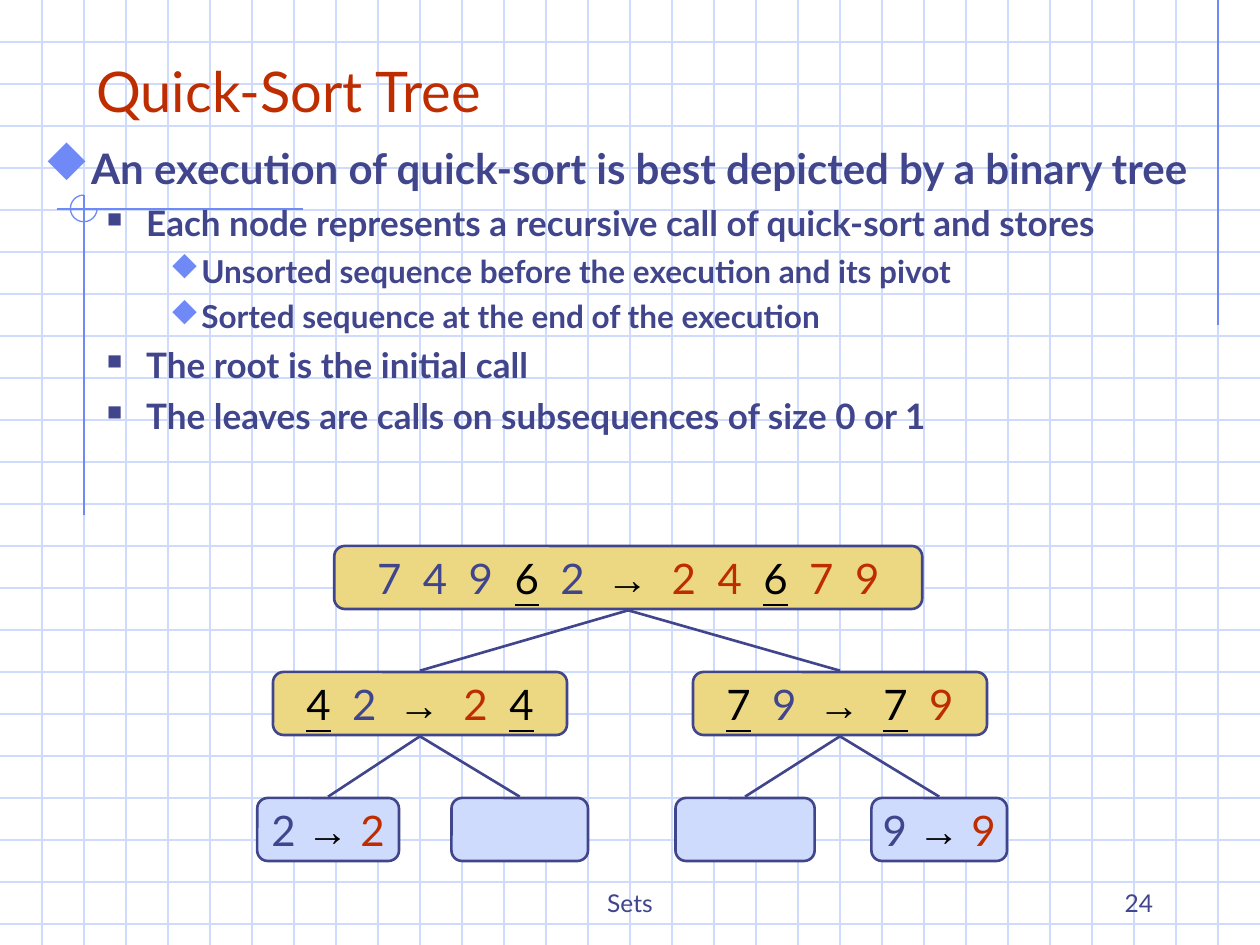
import lxml.etree
import pptx
import pptx.dml.color
import pptx.enum.shapes
import pptx.enum.text
import pptx.oxml.ns
import pptx.util

Pt = pptx.util.Pt
RGBColor = pptx.dml.color.RGBColor
Anchor = pptx.enum.text.MSO_ANCHOR
Align = pptx.enum.text.PP_ALIGN
ShapeKind = pptx.enum.shapes.MSO_SHAPE
qn = pptx.oxml.ns.qn

INDIGO = RGBColor(0x40, 0x45, 0x8C)
RED = RGBColor(0xBE, 0x2D, 0x00)
BLACK = RGBColor(0, 0, 0)
SKY = RGBColor(0x6F, 0x89, 0xF7)
PALE_BLUE = RGBColor(0xCF, 0xDB, 0xFD)
GOLD = RGBColor(0xEC, 0xD8, 0x82)

WIDTH, HEIGHT, GRID = 720, 540, 24
NODE_HEIGHT = 36

# Wingdings codes of the bullet symbols
DIAMOND, SQUARE = "u", "n"
# Per outline level: indent, hanging, size, space before, bullet, bullet colour, bullet percent
LEVELS = [
    (27, 27, 24, 6, DIAMOND, SKY, 110),
    (58.5, 22.5, 20, 5, SQUARE, INDIGO, 60),
    (90, 18, 18, 4.5, DIAMOND, SKY, 95),
]
OUTLINE = [
    (0, "An execution of quick-sort is best depicted by a binary tree"),
    (1, "Each node represents a recursive call of quick-sort and stores"),
    (2, "Unsorted sequence before the execution and its pivot"),
    (2, "Sorted sequence at the end of the execution"),
    (1, "The root is the initial call"),
    (1, "The leaves are calls on subsequences of size 0 or 1"),
]

# Run roles in a node: colour, font, bold, underline
ROLES = {
    "unsorted": (INDIGO, "Lato", False, False),
    "pivot": (BLACK, "Lato", False, True),
    "arrow": (BLACK, "Arial", True, False),
    "sorted": (RED, "Lato", False, False),
}
# Tree nodes: left, top, width, fill, runs
NODES = [
    (191, 312, 336, GOLD, [
        ("7  4  9  ", "unsorted"), ("6", "pivot"), ("  2  ", "unsorted"), ("→  ", "arrow"),
        ("2  4  ", "sorted"), ("6", "pivot"), ("  7  9", "sorted")]),
    (156, 384, 168, GOLD, [
        ("4", "pivot"), ("  2  ", "unsorted"), ("→  ", "arrow"),
        ("2  ", "sorted"), ("4", "pivot")]),
    (396, 384, 168, GOLD, [
        ("7", "pivot"), ("  9  ", "unsorted"), ("→  ", "arrow"),
        ("7", "pivot"), ("  9", "sorted")]),
    (147, 456, 81, PALE_BLUE, [
        ("2 ", "unsorted"), ("→ ", "arrow"), ("2", "sorted")]),
    (258, 456, 78, PALE_BLUE, []),
    (386, 456, 79.5, PALE_BLUE, []),
    (498, 456, 77.5, PALE_BLUE, [
        ("9 ", "unsorted"), ("→ ", "arrow"), ("9", "sorted")]),
]
EDGES = [(0, 1), (0, 2), (1, 3), (1, 4), (2, 5), (2, 6)]


def add_line(slide, start, end, color, weight=0.75):
    line = slide.shapes.add_connector(
        pptx.enum.shapes.MSO_CONNECTOR.STRAIGHT, *map(Pt, (*start, *end)))
    line.line.color.rgb = color
    line.line.width = Pt(weight)
    lxml.etree.SubElement(line._element.spPr, qn("a:effectLst"))


def add_run(paragraph, text, size, color, font="Lato", bold=False, underline=False):
    run = paragraph.add_run()
    run.text = text
    run.font.size = Pt(size)
    run.font.name = font
    run.font.color.rgb = color
    run.font.bold = bold
    run.font.underline = underline


def add_text_box(slide, bounds, anchor):
    frame = slide.shapes.add_textbox(*map(Pt, bounds)).text_frame
    frame.word_wrap = True
    frame.vertical_anchor = anchor
    return frame


def add_label(slide, bounds, text, size, color, align):
    paragraph = add_text_box(slide, bounds, Anchor.BOTTOM).paragraphs[0]
    paragraph.alignment = align
    add_run(paragraph, text, size, color)


def add_background(slide):
    for y in range(GRID, HEIGHT, GRID):
        add_line(slide, (0, y), (WIDTH, y), PALE_BLUE)
    for x in range(GRID, WIDTH, GRID):
        add_line(slide, (x, 0), (x, HEIGHT), PALE_BLUE)
    add_line(slide, (696, 0), (696, 186), SKY)
    add_line(slide, (173, 119.5), (32.5, 119.5), SKY)
    add_line(slide, (48, 111.5), (48, 294.5), SKY)
    arc = slide.shapes.add_shape(ShapeKind.ARC, *map(Pt, (40.25, 111.5, 15.25, 15.25)))
    arc.shadow.inherit = False
    arc.adjustments[0] = 0
    arc.adjustments[1] = 162  # 270 degrees, in units of 100000/60000 degree
    arc.fill.background()
    arc.line.color.rgb = SKY
    arc.line.width = Pt(0.75)


def add_bullet(paragraph, character, color, percent):
    properties = paragraph._p.get_or_add_pPr()
    bullet_color = lxml.etree.SubElement(properties, qn("a:buClr"))
    lxml.etree.SubElement(bullet_color, qn("a:srgbClr"), val=str(color))
    lxml.etree.SubElement(properties, qn("a:buSzPct"), val=str(percent * 1000))
    lxml.etree.SubElement(
        properties, qn("a:buFont"), typeface="Wingdings", pitchFamily="2", charset="2")
    lxml.etree.SubElement(properties, qn("a:buChar"), char=character)


def add_outline(slide):
    frame = add_text_box(slide, (18, 78, 690, 228), Anchor.TOP)
    for index, (level, text) in enumerate(OUTLINE):
        indent, hanging, size, space, character, color, percent = LEVELS[level]
        paragraph = frame.add_paragraph() if index else frame.paragraphs[0]
        paragraph.level = level
        if index:
            paragraph.space_before = Pt(space)
        properties = paragraph._p.get_or_add_pPr()
        properties.set("marL", str(Pt(indent)))
        properties.set("indent", str(-Pt(hanging)))
        add_bullet(paragraph, character, color, percent)
        add_run(paragraph, text, size, INDIGO, bold=True)


def add_node(slide, left, top, width, fill, runs):
    node = slide.shapes.add_shape(
        ShapeKind.ROUNDED_RECTANGLE, *map(Pt, (left, top, width, NODE_HEIGHT)))
    node.shadow.inherit = False
    node.fill.solid()
    node.fill.fore_color.rgb = fill
    node.line.color.rgb = INDIGO
    node.line.width = Pt(1.5)
    if not runs:
        return
    frame = node.text_frame
    frame.word_wrap = False
    frame.vertical_anchor = Anchor.MIDDLE
    paragraph = frame.paragraphs[0]
    paragraph.alignment = Align.CENTER
    for text, role in runs:
        color, font, bold, underline = ROLES[role]
        add_run(paragraph, text, 24, color, font, bold, underline)


def add_edge(slide, parent, child):
    """Join the bottom centre of the parent to the top centre of the child."""
    start = (parent[0] + parent[2] / 2, parent[1] + NODE_HEIGHT + 0.75)
    end = (child[0] + child[2] / 2, child[1] - 0.75)
    add_line(slide, start, end, INDIGO, 1.5)


def main():
    presentation = pptx.Presentation()
    presentation.slide_width = Pt(WIDTH)
    presentation.slide_height = Pt(HEIGHT)
    slide = presentation.slides.add_slide(presentation.slide_layouts[6])
    add_background(slide)
    add_label(slide, (48, 24, 612, 50.5), "Quick-Sort Tree", 32, RED, Align.LEFT)
    add_outline(slide)
    for node in NODES:
        add_node(slide, *node)
    for parent, child in EDGES:
        add_edge(slide, NODES[parent], NODES[child])
    add_label(slide, (246, 492, 228, 36), "Sets", 14, INDIGO, Align.CENTER)
    add_label(slide, (516, 492, 150, 36), "24", 14, INDIGO, Align.RIGHT)
    presentation.save("out.pptx")


if __name__ == "__main__":
    main()
